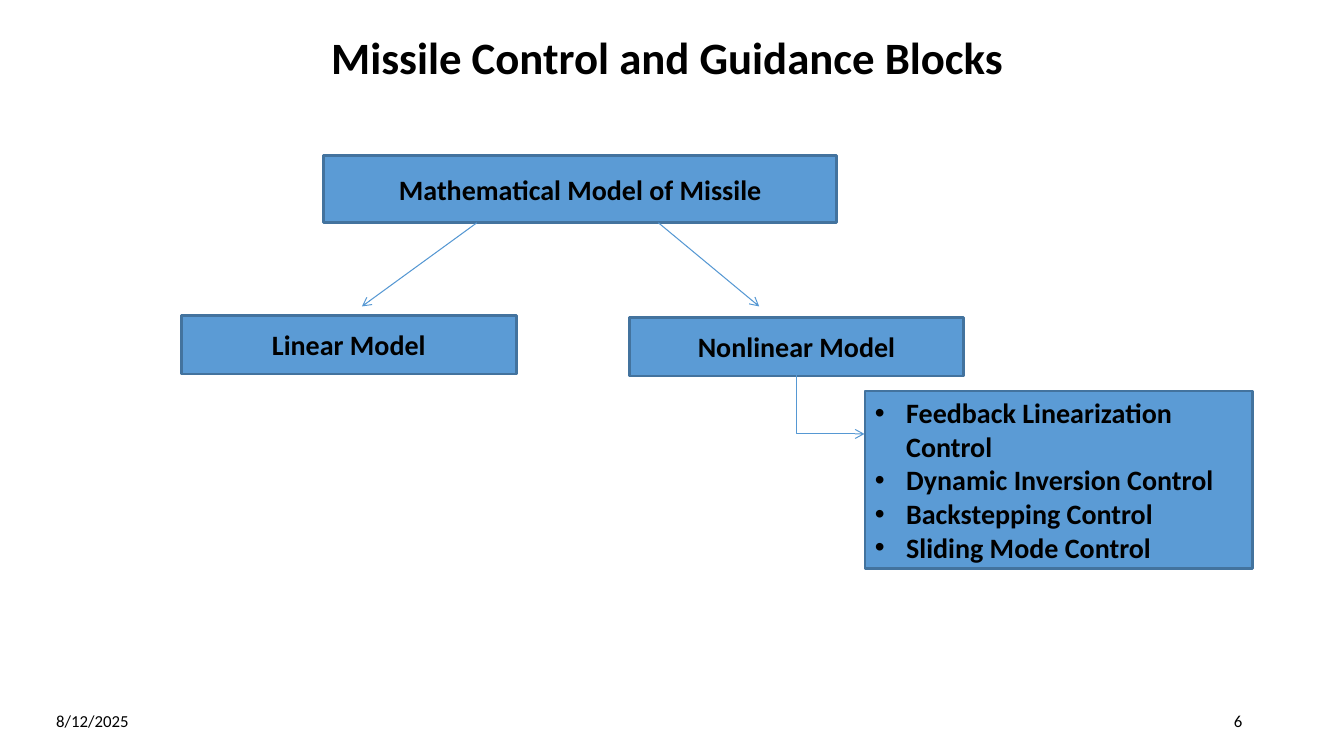
"""Builds the missile control and guidance block diagram slide."""
from lxml import etree
from pptx import Presentation
from pptx import util as u
from pptx.dml.color import RGBColor
from pptx.enum import shapes, text
from pptx.oxml import ns


def color(hex_string):
    return RGBColor.from_string(hex_string)


def write(frame, lines, size, bold, align, bulleted=False):
    frame.word_wrap = True
    frame.vertical_anchor = text.MSO_ANCHOR.MIDDLE
    for index, line in enumerate(lines):
        paragraph = frame.paragraphs[0] if index == 0 else frame.add_paragraph()
        paragraph.alignment = align
        if bulleted:
            properties = paragraph._p.get_or_add_pPr()
            properties.set("marL", str(u.Inches(0.31)))
            properties.set("indent", str(u.Inches(-0.31)))
            bullet_color = etree.SubElement(properties, ns.qn("a:buClr"))
            etree.SubElement(bullet_color, ns.qn("a:srgbClr"), val="000000")
            etree.SubElement(properties, ns.qn("a:buFont"), typeface="Arial")
            etree.SubElement(properties, ns.qn("a:buChar"), char="•")
        run = paragraph.add_run()
        run.text = line
        run.font.name = "Calibri"
        run.font.size = u.Pt(size)
        run.font.bold = bold
        run.font.color.rgb = color("000000")


presentation = Presentation()
presentation.slide_width = u.Inches(13.33)
presentation.slide_height = u.Inches(7.5)
slide = presentation.slides.add_slide(presentation.slide_layouts[6])

LEFT, CENTER, RIGHT = text.PP_ALIGN.LEFT, text.PP_ALIGN.CENTER, text.PP_ALIGN.RIGHT

labels = [
    ((0.62, 0.15, 12, 0.88), "Missile Control and Guidance Blocks", 32, True, CENTER),
    ((0.46, 6.95, 3, 0.4), "8/12/2025", 12, False, LEFT),
    ((9.42, 6.95, 3, 0.4), "6", 12, False, RIGHT),
]
for place, label, size, bold, align in labels:
    box = slide.shapes.add_textbox(*map(u.Inches, place))
    write(box.text_frame, [label], size, bold, align)
    if size == 32:
        box.text_frame.paragraphs[0].line_spacing = 0.9

control_methods = [
    "Feedback Linearization Control",
    "Dynamic Inversion Control",
    "Backstepping Control",
    "Sliding Mode Control",
]
blocks = [
    ((3.21, 1.54, 5.09, 0.67), ["Mathematical Model of Missile"]),
    ((1.8, 3.13, 3.32, 0.58), ["Linear Model"]),
    ((6.24, 3.15, 3.32, 0.58), ["Nonlinear Model"]),
    ((8.58, 3.88, 3.84, 1.76), control_methods),
]
for place, lines in blocks:
    block = slide.shapes.add_shape(shapes.MSO_SHAPE.RECTANGLE, *map(u.Inches, place))
    block.shadow.inherit = False
    block.fill.solid()
    block.fill.fore_color.rgb = color("5B9BD5")
    block.line.color.rgb = color("43739E")
    block.line.width = u.Pt(2)
    bulleted = len(lines) > 1
    write(block.text_frame, lines, 20, True, LEFT if bulleted else CENTER, bulleted)

STRAIGHT, ELBOW = shapes.MSO_CONNECTOR.STRAIGHT, shapes.MSO_CONNECTOR.ELBOW
arrows = [
    (STRAIGHT, (4.73, 2.21, 3.59, 3.04)),
    (STRAIGHT, (6.53, 2.21, 7.53, 3.04)),
    (ELBOW, (8.53, 3.68, 7.95, 4.35)),
]
for kind, ends in arrows:
    arrow = slide.shapes.add_connector(kind, *map(u.Inches, ends))
    arrow.line.color.rgb = color("5698D3")
    arrow.line.width = u.Pt(0.75)
    etree.SubElement(arrow.line._get_or_add_ln(), ns.qn("a:tailEnd"), type="arrow")
    properties = arrow._element.spPr
    etree.SubElement(properties, ns.qn("a:effectLst"))
    if kind == ELBOW:
        properties.find(ns.qn("a:xfrm")).set("rot", str(270 * 60000))
        properties.find(ns.qn("a:prstGeom")).set("prst", "bentConnector2")

presentation.save("out.pptx")
